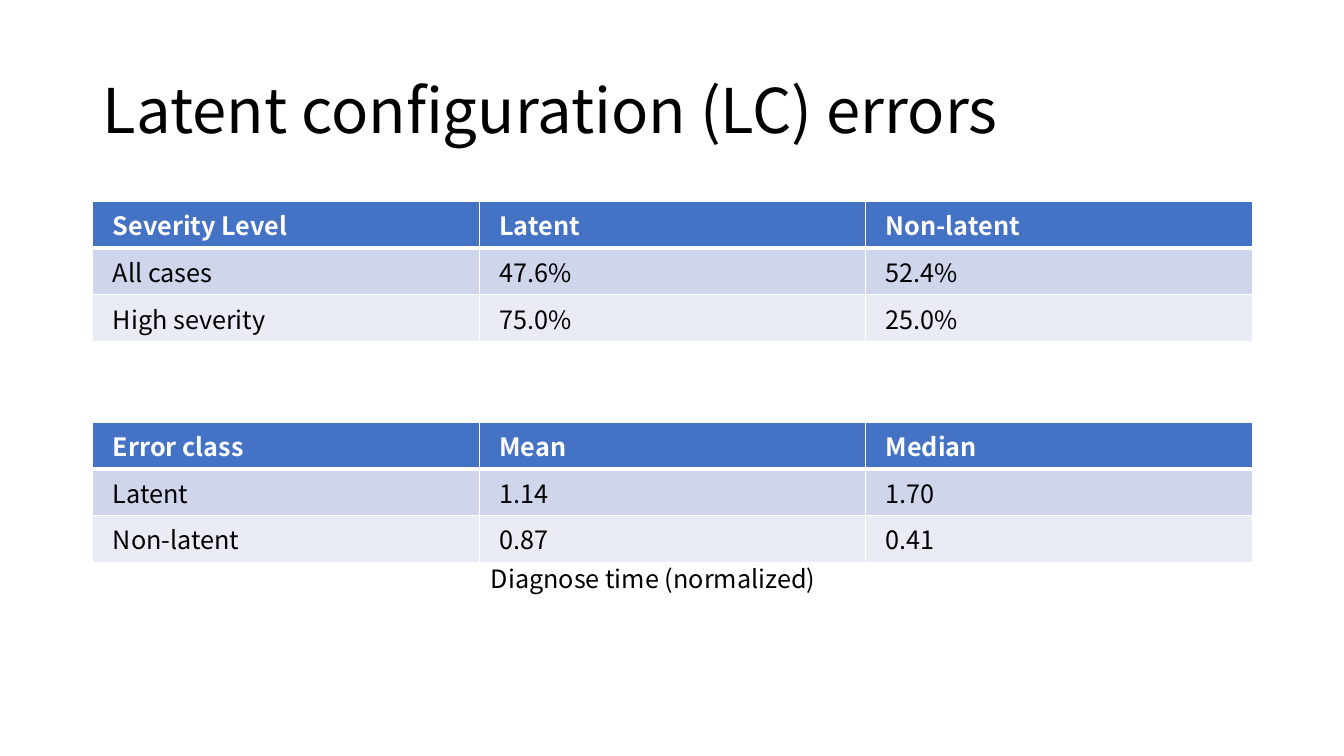
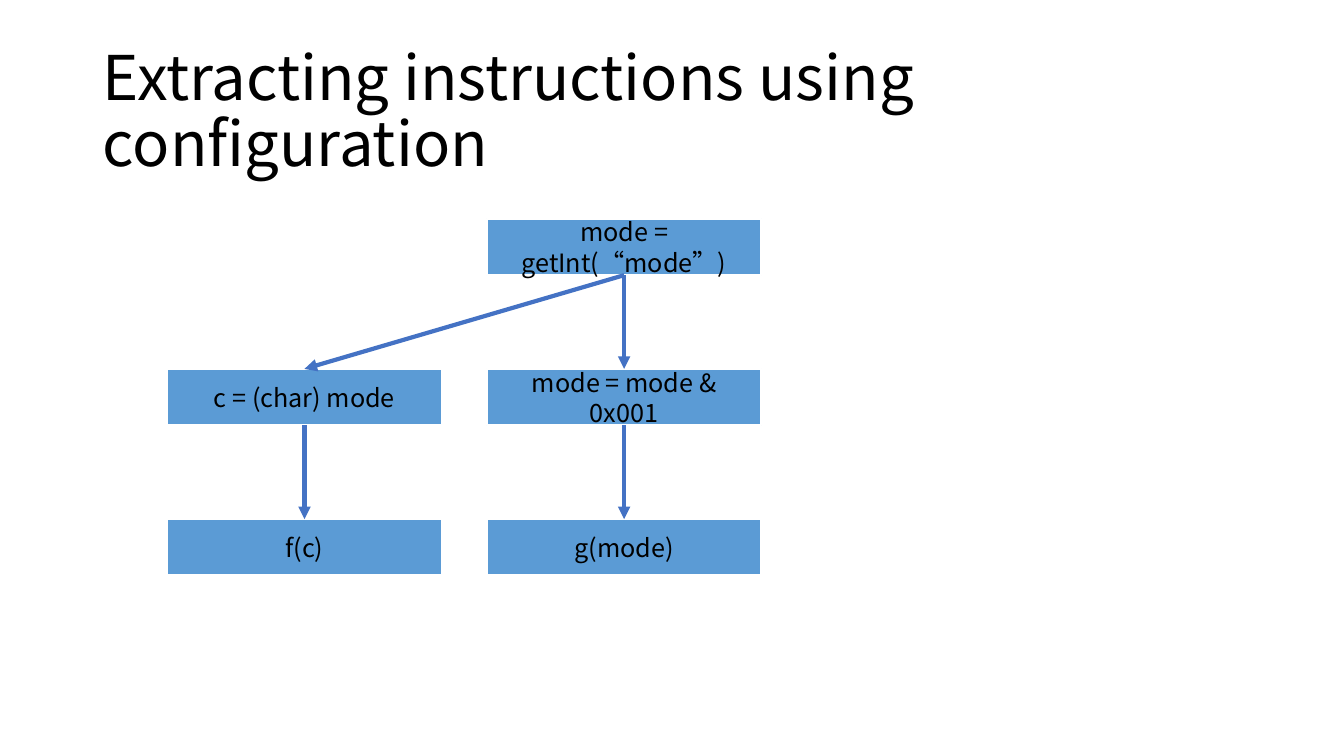
from lxml.etree import SubElement
from pptx import Presentation
from pptx.dml.color import RGBColor
from pptx.enum.shapes import MSO_CONNECTOR, MSO_SHAPE
from pptx.enum.text import MSO_ANCHOR, MSO_AUTO_SIZE, PP_ALIGN
from pptx.oxml import parse_xml
from pptx.oxml.ns import nsdecls, qn
from pptx.util import Emu, Pt

EMU_PER_PX = 9144  # 100 px to the inch
TITLE_ONLY = 5
TOP_SITE, BOTTOM_SITE = 0, 2


def px(length):
    return Emu(length * EMU_PER_PX)


def color(hex_text):
    return RGBColor.from_string(hex_text)


class Slides:
    """Holds the shared style and the slide being built."""

    FONT = "Noto Sans CJK SC"
    TEXT, WHITE = "000000", "FFFFFF"
    BLUE, BOX_BLUE = "4472C4", "5B9BD5"
    BANDS = ("CFD5EA", "E9EBF5")
    TITLE_SIZE, BODY_SIZE = 44, 18
    LEFT, WIDTH = 92, 1150

    def __init__(self):
        self.deck = Presentation()
        self.deck.slide_width, self.deck.slide_height = px(1333), px(750)
        self.page = None

    def format_text(self, frame, size=BODY_SIZE, ink=TEXT, bold=False, align=PP_ALIGN.LEFT):
        for para in frame.paragraphs:
            para.alignment = align
            for span in para.runs:
                span.font.name = self.FONT
                span.font.size = Pt(size)
                span.font.bold = bold
                span.font.color.rgb = color(ink)

    def add_page(self, title_text):
        self.page = self.deck.slides.add_slide(self.deck.slide_layouts[TITLE_ONLY])
        title = self.page.shapes.title
        title.left, title.top = px(self.LEFT), px(40)
        title.width, title.height = px(self.WIDTH), px(145)
        frame = title.text_frame
        frame.text = title_text
        frame.word_wrap = True
        frame.auto_size = MSO_AUTO_SIZE.NONE
        frame.vertical_anchor = MSO_ANCHOR.MIDDLE
        frame.paragraphs[0].line_spacing = 0.9
        self.format_text(frame, self.TITLE_SIZE)

    def set_borders(self, cell, top, bottom):
        properties = cell._tc.get_or_add_tcPr()
        widths = {"lnL": 1, "lnR": 1, "lnT": top, "lnB": bottom}
        for position, (side, width) in enumerate(widths.items()):
            border = parse_xml(
                f'<a:{side} {nsdecls("a")} w="{Pt(width)}"><a:solidFill>'
                f'<a:srgbClr val="{self.WHITE}"/></a:solidFill></a:{side}>')
            properties.insert(position, border)

    def add_table(self, top, rows):
        row_height = 41
        table = self.page.shapes.add_table(
            len(rows), len(rows[0]), px(self.LEFT), px(top),
            px(self.WIDTH), px(row_height * len(rows))).table
        table.horz_banding = False
        for row_index, row in enumerate(rows):
            table.rows[row_index].height = px(row_height)
            header = row_index == 0
            fill = self.BLUE if header else self.BANDS[(row_index - 1) % 2]
            for column_index, text in enumerate(row):
                cell = table.cell(row_index, column_index)
                cell.text_frame.text = text
                cell.margin_left = cell.margin_right = px(20)
                cell.margin_top = cell.margin_bottom = px(5)
                cell.fill.solid()
                cell.fill.fore_color.rgb = color(fill)
                self.set_borders(cell, 3 if row_index == 1 else 1, 3 if header else 1)
                self.format_text(cell.text_frame, bold=header,
                                 ink=self.WHITE if header else self.TEXT)

    def add_caption(self, left, top, width, height, text):
        box = self.page.shapes.add_textbox(px(left), px(top), px(width), px(height))
        box.text_frame.word_wrap = True
        box.text_frame.text = text
        self.format_text(box.text_frame)

    def add_box(self, left, top, text):
        box = self.page.shapes.add_shape(
            MSO_SHAPE.RECTANGLE, px(left), px(top), px(272), px(56))
        box.shadow.inherit = False
        box.fill.solid()
        box.fill.fore_color.rgb = color(self.BOX_BLUE)
        box.line.color.rgb = color(self.WHITE)
        box.line.width = Pt(1.5)
        frame = box.text_frame
        frame.text = text
        frame.word_wrap = True
        frame.vertical_anchor = MSO_ANCHOR.MIDDLE
        self.format_text(frame, align=PP_ALIGN.CENTER)
        return box

    def add_arrow(self, source, target):
        arrow = self.page.shapes.add_connector(MSO_CONNECTOR.STRAIGHT, 0, 0, 0, 0)
        arrow.begin_connect(source, BOTTOM_SITE)
        arrow.end_connect(target, TOP_SITE)
        arrow.line.color.rgb = color(self.BLUE)
        arrow.line.width = Pt(3)
        SubElement(arrow.line._get_or_add_ln(), qn("a:tailEnd"), type="triangle")
        SubElement(arrow._element.spPr, qn("a:effectLst"))


def build_tables(slides):
    slides.add_page("Latent configuration (LC) errors")
    slides.add_table(200, [
        ("Severity Level", "Latent", "Non-latent"),
        ("All cases", "47.6%", "52.4%"),
        ("High severity", "75.0%", "25.0%"),
    ])
    slides.add_table(419, [
        ("Error class", "Mean", "Median"),
        ("Latent", "1.14", "1.70"),
        ("Non-latent", "0.87", "0.41"),
    ])
    slides.add_caption(477, 554, 727, 40, "Diagnose time (normalized)")


def build_flow(slides):
    slides.add_page("Extracting instructions using configuration")
    # Box grid: two columns, three evenly spaced levels
    left_column, right_column = 166, 483
    first, second, third = (217 + 149 * level for level in range(3))
    read_mode = slides.add_box(right_column, first, "mode = getInt(“mode”)")
    cast_mode = slides.add_box(left_column, second, "c = (char) mode")
    call_f = slides.add_box(left_column, third, "f(c)")
    mask_mode = slides.add_box(right_column, second, "mode = mode & 0x001")
    call_g = slides.add_box(right_column, third, "g(mode)")
    # Data flow between the instructions
    for source, target in ((read_mode, mask_mode), (mask_mode, call_g),
                           (read_mode, cast_mode), (cast_mode, call_f)):
        slides.add_arrow(source, target)


def main():
    slides = Slides()
    build_tables(slides)
    build_flow(slides)
    slides.deck.save("out.pptx")


if __name__ == "__main__":
    main()
